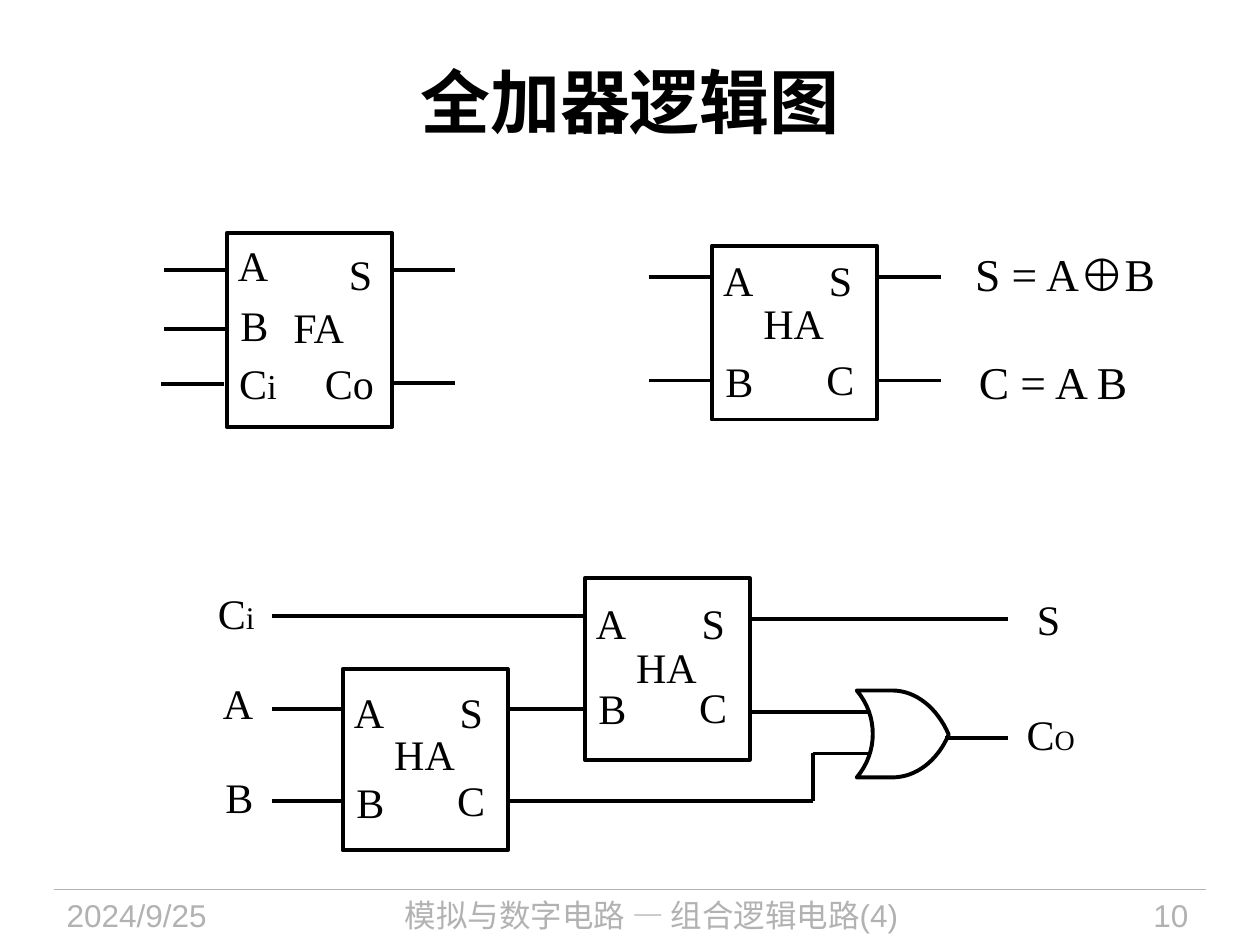
"""Build a slide with the logic diagram of a full adder made from half adders."""
from dataclasses import dataclass

from lxml import etree
from pptx import Presentation
from pptx.dml.color import RGBColor
from pptx.enum.shapes import MSO_CONNECTOR, MSO_SHAPE
from pptx.enum.text import MSO_ANCHOR, PP_ALIGN
from pptx.oxml.ns import qn
from pptx.util import Inches, Pt

BLACK = RGBColor(0, 0, 0)
GREY = RGBColor(0xB2, 0xB2, 0xB2)
LEFT, MID, RIGHT = PP_ALIGN.LEFT, PP_ALIGN.CENTER, PP_ALIGN.RIGHT
TOP, CENTER = MSO_ANCHOR.TOP, MSO_ANCHOR.MIDDLE
RECT = MSO_SHAPE.RECTANGLE
STRAIGHT = MSO_CONNECTOR.STRAIGHT
SERIF, SANS = "Times New Roman", "Arial"
BOX_W = 1.31
STEPS = 16


@dataclass(frozen=True)
class Mark:
    text: str
    x: float
    y: float
    w: float
    tail: str = ""
    small: float = 18


@dataclass(frozen=True)
class Wire:
    x: float
    y: float
    end_x: float
    end_y: float


@dataclass(frozen=True)
class Half:
    x: float
    y: float
    h: float
    top: float
    low: float
    mid: float


HALVES = [
    Half(2.72, 5.31, 1.44, 0.09, 0.8, 0.42),
    Half(4.64, 4.59, 1.44, 0.1, 0.78, 0.45),
    Half(5.65, 1.95, 1.38, 0.02, 0.82, 0.36),
]
MARKS = [
    Mark("C", 1.63, 4.61, 0.52, "i"),
    Mark("A", 1.67, 5.33, 0.45),
    Mark("B", 1.69, 6.07, 0.43),
    Mark("S", 8.13, 4.66, 0.39),
    Mark("C", 8.05, 5.57, 0.59, "O", 16),
    Mark("A", 1.79, 1.85, 0.45),
    Mark("B", 1.81, 2.33, 0.43),
    Mark("C", 1.8, 2.79, 0.52, "i", 20),
    Mark("S", 2.67, 1.92, 0.39),
    Mark("Co", 2.48, 2.79, 0.61),
    Mark("FA", 2.23, 2.34, 0.61),
]
STUBS = [
    (1.3, 2.14), (1.3, 2.61), (1.28, 3.05), (3.11, 2.14), (3.11, 3.04),
    (5.15, 2.2), (5.15, 3.02), (6.97, 2.2), (6.97, 3.02), (7.5, 5.86),
]
WIRES = [Wire(x, y, x + 0.5, y) for x, y in STUBS] + [
    Wire(2.16, 4.89, 4.63, 4.89),
    Wire(2.16, 5.63, 2.72, 5.63),
    Wire(2.16, 6.36, 2.72, 6.36),
    Wire(4.03, 5.63, 4.65, 5.63),
    Wire(4.03, 6.36, 6.45, 6.36),
    Wire(6.45, 6.36, 6.45, 5.98),
    Wire(6.45, 5.98, 6.9, 5.98),
    Wire(5.96, 4.91, 8, 4.91),
    Wire(5.96, 5.65, 6.9, 5.65),
]


def add_text(slide, text: str, x: float, y: float, w: float, h: float = 0.51, *,
             size: float = 24, font: str = SERIF, color: RGBColor = BLACK,
             bold: bool = False, align=LEFT, anchor=TOP, wrap: bool = False,
             tail: str = "", small: float = 18) -> None:
    box = slide.shapes.add_textbox(Inches(x), Inches(y), Inches(w), Inches(h))
    frame = box.text_frame
    frame.word_wrap = wrap
    frame.vertical_anchor = anchor
    para = frame.paragraphs[0]
    para.alignment = align
    for part, points in ((text, size), (tail, small)):
        if part:
            run = para.add_run()
            run.text = part
            run.font.size = Pt(points)
            run.font.name = font
            run.font.bold = bold
            run.font.color.rgb = color


def add_wire(slide, wire: Wire, color: RGBColor = BLACK, width: float = 2.25) -> None:
    line = slide.shapes.add_connector(
        STRAIGHT, Inches(wire.x), Inches(wire.y), Inches(wire.end_x), Inches(wire.end_y))
    line.line.color.rgb = color
    line.line.width = Pt(width)
    etree.SubElement(line.element.spPr, qn("a:effectLst"))


def style(shape) -> None:
    shape.shadow.inherit = False
    shape.fill.background()
    shape.line.color.rgb = BLACK
    shape.line.width = Pt(2.25)


def add_box(slide, x: float, y: float, h: float) -> None:
    style(slide.shapes.add_shape(RECT, Inches(x), Inches(y), Inches(BOX_W), Inches(h)))


def add_half(slide, half: Half) -> None:
    add_box(slide, half.x, half.y, half.h)
    for text, dx, dy, w in (
        ("A", -0.01, half.top, 0.45), ("B", 0.01, half.low, 0.43),
        ("S", 0.83, half.top, 0.39), ("C", 0.81, half.low - 0.01, 0.43),
        ("HA", 0.31, half.mid, 0.71),
    ):
        add_text(slide, text, half.x + dx, half.y + dy, w)


def curve(*ends: tuple[float, float]) -> list[tuple[float, float]]:
    points = []
    for step in range(STEPS + 1):
        t = step / STEPS
        parts = ((1 - t) ** 3, 3 * t * (1 - t) ** 2, 3 * t * t * (1 - t), t ** 3)
        points.append(tuple(sum(k * end[i] for k, end in zip(parts, ends)) for i in (0, 1)))
    return points


def add_gate(slide) -> None:
    upper = curve((7.08, 5.48), (7.27, 5.48), (7.44, 5.62), (7.53, 5.83))
    lower = curve((7.53, 5.83), (7.44, 6.04), (7.27, 6.17), (7.08, 6.17))
    back = curve((6.8, 6.17), (6.97, 5.97), (6.97, 5.68), (6.8, 5.48))
    points = [(Inches(x), Inches(y)) for x, y in upper + lower + back]
    path = slide.shapes.build_freeform(*points[0])
    path.add_line_segments(points[1:], close=True)
    style(path.convert_to_shape())


def main() -> None:
    deck = Presentation()
    deck.slide_width, deck.slide_height = Inches(10), Inches(7.5)
    slide = deck.slides.add_slide(deck.slide_layouts[6])
    add_wire(slide, Wire(0.43, 7.06, 9.57, 7.06), GREY, 0.75)
    add_text(slide, "全加器逻辑图", 0.5, 0.17, 9, 1.25, size=40, font=SANS,
             bold=True, align=MID, anchor=CENTER, wrap=True)
    for text, x, w, align in (
        ("2024/9/25", 0.43, 1.88, LEFT),
        ("模拟与数字电路 — 组合逻辑电路(4)", 2.49, 5.36, MID),
        ("10", 8.2, 1.33, RIGHT),
    ):
        add_text(slide, text, x, 7.06, w, 0.44, size=18, font=SANS,
                 color=GREY, align=align, wrap=True)
    add_box(slide, 1.8, 1.85, 1.54)
    for half in HALVES:
        add_half(slide, half)
    for wire in WIRES:
        add_wire(slide, wire)
    add_gate(slide)
    for mark in MARKS:
        add_text(slide, mark.text, mark.x, mark.y, mark.w, tail=mark.tail, small=mark.small)
    add_text(slide, "S = A⊕B", 7.64, 1.9, 1.64, 0.54, size=26)
    add_text(slide, "C = A B", 7.67, 2.76, 1.41, 0.54, size=26)
    deck.save("out.pptx")


if __name__ == "__main__":
    main()
